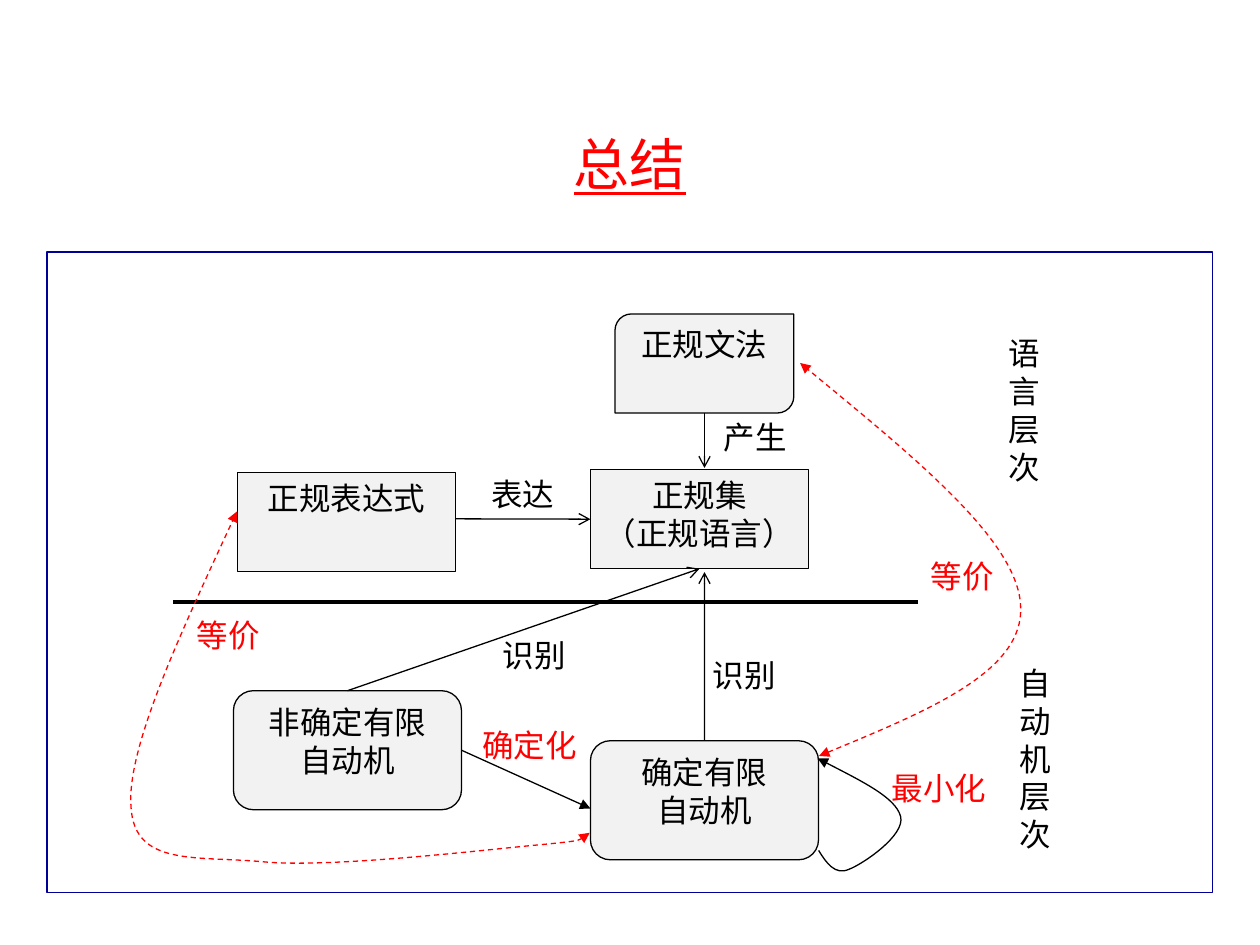
from lxml import etree
from pptx import Presentation
from pptx.dml.color import RGBColor
from pptx.enum import dml, shapes, text
from pptx.oxml.ns import qn
from pptx.util import Pt

THEME = {
    "font": "Times New Roman", "title": 32, "body": 18,
    "black": "000000", "red": "FF0000", "frame": "000099", "box": "F2F2F2",
    "thin": 0.75, "thick": 2.25,
}
FORM = shapes.MSO_SHAPE

TITLE = ("总结", (54, 48, 612, 90))
FRAME = (26.9, 144, 666, 365.9)

# name: (form, text, (left, top, width, height))
NODES = {
    "nfa": (FORM.ROUNDED_RECTANGLE, "非确定有限\n自动机", (133.4, 394.7, 130.3, 68)),
    "dfa": (FORM.ROUNDED_RECTANGLE, "确定有限\n自动机", (337.4, 423.3, 130.3, 68)),
    "expression": (FORM.RECTANGLE, "正规表达式", (135.6, 270, 124.6, 56.6)),
    "set": (FORM.RECTANGLE, "正规集\n（正规语言）", (337.4, 268.4, 124.6, 56.6)),
    "grammar": (FORM.ROUND_2_DIAG_RECTANGLE, "正规文法", (351.4, 179.4, 102.2, 56.6)),
}

# from, to, arrowhead; an end is a point or a (node, side) joint
LEVEL_DIVIDER = ((99.1, 343.9), (524.4, 343.9), None)
ARROWS = [
    ((402.6, 236), (402.6, 267.4), "arrow"),
    ((260.3, 296.5), ("set", 1), "arrow"),
    (("nfa", 0), ("set", 2), "arrow"),
    (("dfa", 0), (402.6, 326.9), "arrow"),
    (("nfa", 3), (337.4, 462), "triangle"),
]

# text, colour, (left, top, width, height)
LABELS = [
    ("产生", "black", (406.5, 235.4, 50.4, 28.8)),
    ("表达", "black", (273.7, 267.8, 50.4, 28.8)),
    ("识别", "black", (280.3, 360, 50.4, 28.8)),
    ("识别", "black", (400.2, 371.5, 50.4, 28.8)),
    ("确定化", "red", (268.6, 411.1, 68.4, 28.8)),
    ("最小化", "red", (502.4, 435.9, 68.4, 28.8)),
    ("等价", "red", (524.9, 314.6, 50.4, 28.8)),
    ("等价", "red", (105.4, 348.5, 50.4, 28.8)),
    ("语\n言\n层\n次", "black", (569.2, 187.5, 32.4, 93.6)),
    ("自\n动\n机\n层\n次", "black", (575.3, 375.9, 32.4, 115.2)),
]

# colour, dashed and double-headed, turn, start and three Bézier points a piece
CURVES = [
    ("black", False, 339.6, [
        (460.4, 478.2), (462, 486.4), (464.3, 494.9), (472.9, 494.3),
        (481.3, 494.3), (510, 487.4), (511.1, 476.3),
        (512.2, 465.1), (495, 447.3), (478.2, 428.6)]),
    ("red", True, 0, [
        (468, 432), (527, 407.5), (585.4, 383.8), (583.2, 346.3),
        (581.8, 308.9), (519.1, 258.5), (457.2, 207.4)]),
    ("red", True, 0, [
        (337, 475.9), (336.2, 478.1), (335.5, 480.2), (304.6, 483.1),
        (273.6, 486), (188.6, 496.1), (150.5, 492.5),
        (112.3, 488.9), (77, 495.4), (74.9, 461.5),
        (72, 428.4), (103.7, 360.7), (135.4, 292.3)]),
]


def color(name):
    return RGBColor.from_string(THEME[name])


def points(values):
    return [Pt(value) for value in values]


def write(shape, content, size="body", ink="black", align=text.PP_ALIGN.CENTER,
          anchor=text.MSO_ANCHOR.TOP, underline=None, wrap=True):
    frame = shape.text_frame
    frame.text = content
    frame.word_wrap = wrap
    frame.vertical_anchor = anchor
    for paragraph in frame.paragraphs:
        paragraph.alignment = align
        for run in paragraph.runs:
            run.font.name = THEME["font"]
            run.font.size = Pt(THEME[size])
            run.font.color.rgb = color(ink)
            run.font.underline = underline


def outline(shape, ink="black", width="thin", dashed=False, head=None, tail=None):
    shape.line.color.rgb = color(ink)
    shape.line.width = Pt(THEME[width])
    if dashed:
        shape.line.dash_style = dml.MSO_LINE.DASH
    ln = shape.line._get_or_add_ln()
    for tag, kind in (("a:headEnd", head), ("a:tailEnd", tail)):
        if kind:
            etree.SubElement(ln, qn(tag), type=kind)


def add_box(slide, form, place, fill=None, ink="black"):
    box = slide.shapes.add_shape(form, *points(place))
    box.shadow.inherit = False
    if fill:
        box.fill.solid()
        box.fill.fore_color.rgb = color(fill)
    else:
        box.fill.background()
    outline(box, ink)
    return box


def add_line(slide, nodes, start, end, tail, width="thin"):
    line = slide.shapes.add_connector(shapes.MSO_CONNECTOR.STRAIGHT, 0, 0, 0, 0)
    if start[0] in nodes:
        line.begin_connect(nodes[start[0]], start[1])
    else:
        line.begin_x, line.begin_y = points(start)
    if end[0] in nodes:
        line.end_connect(nodes[end[0]], end[1])
    else:
        line.end_x, line.end_y = points(end)
    outline(line, width=width, tail=tail)
    etree.SubElement(line._element.spPr, qn("a:effectLst"))


def extent(knots, axis, steps=40):
    """Lowest and highest value that a chain of cubic Bézier pieces reaches."""
    reached = []
    for first in range(0, len(knots) - 1, 3):
        a, b, c, d = (knot[axis] for knot in knots[first:first + 4])
        for step in range(steps + 1):
            t = step / steps
            s = 1 - t
            reached.append(a * s**3 + 3 * b * s * s * t + 3 * c * s * t * t + d * t**3)
    return min(reached), max(reached)


def add_curve(slide, ink, equivalence, turn, knots):
    (left, right), (top, bottom) = extent(knots, 0), extent(knots, 1)
    builder = slide.shapes.build_freeform(Pt(left), Pt(top))
    builder.add_line_segments([(Pt(right), Pt(bottom))], close=False)
    curve = builder.convert_to_shape()

    outline_path = curve._element.spPr.find(".//" + qn("a:path"))
    for step in list(outline_path):
        outline_path.remove(step)
    pieces = [("a:moveTo", knots[:1])]
    pieces += [("a:cubicBezTo", knots[i:i + 3]) for i in range(1, len(knots), 3)]
    for tag, piece in pieces:
        step = etree.SubElement(outline_path, qn(tag))
        for x, y in piece:
            etree.SubElement(step, qn("a:pt"), x=str(Pt(x - left)), y=str(Pt(y - top)))

    curve.rotation = turn
    curve.shadow.inherit = False
    curve.fill.background()
    outline(curve, ink, dashed=equivalence,
            head="triangle" if equivalence else None, tail="triangle")


def main():
    deck = Presentation()
    deck.slide_width, deck.slide_height = Pt(720), Pt(540)
    slide = deck.slides.add_slide(deck.slide_layouts[5])

    title = slide.shapes.title
    content, place = TITLE
    title.left, title.top, title.width, title.height = points(place)
    write(title, content, size="title", ink="red", underline=True,
          anchor=text.MSO_ANCHOR.MIDDLE)

    add_box(slide, FORM.RECTANGLE, FRAME, ink="frame")
    nodes = {}
    for name, (form, content, place) in NODES.items():
        nodes[name] = add_box(slide, form, place, fill="box")
        write(nodes[name], content)

    add_line(slide, nodes, *LEVEL_DIVIDER, width="thick")
    for arrow in ARROWS:
        add_line(slide, nodes, *arrow)
    for content, ink, place in LABELS:
        label = slide.shapes.add_textbox(*points(place))
        write(label, content, ink=ink, align=text.PP_ALIGN.LEFT, wrap=False)
        label.text_frame.auto_size = text.MSO_AUTO_SIZE.SHAPE_TO_FIT_TEXT
    for curve in CURVES:
        add_curve(slide, *curve)

    deck.save("out.pptx")


if __name__ == "__main__":
    main()
